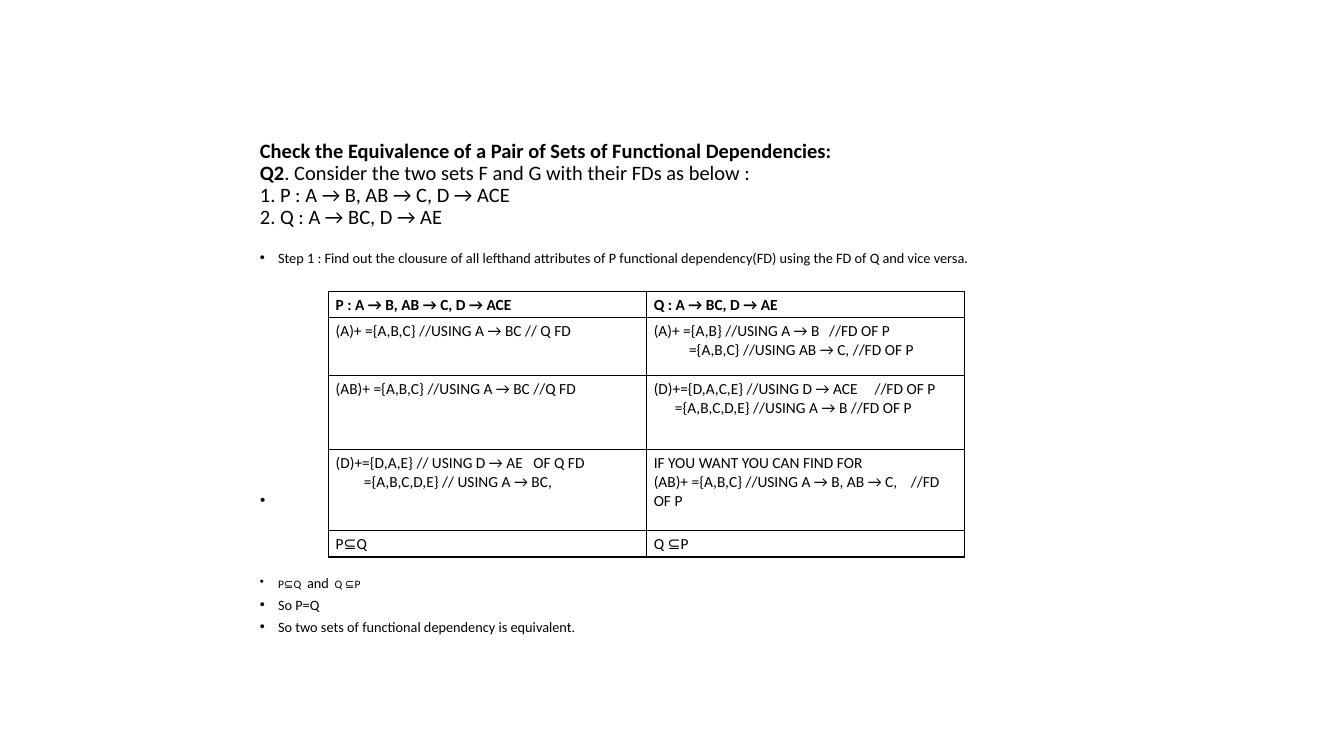
from dataclasses import dataclass

from lxml import etree
from pptx import Presentation
from pptx.dml.color import RGBColor
from pptx.enum.text import MSO_ANCHOR
from pptx.oxml.ns import qn
from pptx.util import Inches, Pt

TOP, MIDDLE = MSO_ANCHOR.TOP, MSO_ANCHOR.MIDDLE
COLORS = {"ink": "000000", "paper": "FFFFFF"}
FONT = "Calibri"
BODY_SIZE, SMALL_SIZE, TITLE_SIZE, TABLE_SIZE = 10.2, 8.2, 14.6, 11
TEXT_LEFT, TEXT_WIDTH = 2.48, 8.37
BULLET_INDENT = 0.18
BORDER_POINTS = 0.96


@dataclass(frozen=True)
class Run:
    text: str
    size: float = BODY_SIZE
    bold: bool = False


@dataclass(frozen=True)
class CellLine:
    text: str
    indent: float = 0
    tab: float = 0


@dataclass(frozen=True)
class TextBlock:
    top: float
    height: float
    paragraphs: list[list[Run]]
    bulleted: bool = True
    line_spacing: float = 0.7
    anchor: MSO_ANCHOR = TOP


TEXT_BLOCKS = [
    TextBlock(1.31, 1.05, [[
        Run("Check the Equivalence of a Pair of Sets of Functional Dependencies:\nQ2",
            TITLE_SIZE, True),
        Run(". Consider the two sets F and G with their FDs as below :\n"
            "1. P : A → B, AB → C, D → ACE\n2. Q : A → BC, D → AE", TITLE_SIZE),
    ]], bulleted=False, line_spacing=0.9, anchor=MIDDLE),
    TextBlock(2.47, 0.3, [[
        Run("Step 1 : Find out the clousure of all lefthand attributes of P functional "
            "dependency(FD) using the FD of Q and vice versa."),
    ]]),
    TextBlock(4.87, 0.25, [[Run("•", SMALL_SIZE)]], bulleted=False),
    TextBlock(5.69, 0.7, [
        [Run("P⊆Q ", SMALL_SIZE), Run(" and "), Run(" Q ⊆P", SMALL_SIZE)],
        [Run("So P=Q")],
        [Run("So two sets of functional dependency is equivalent.")],
    ]),
]

ROW_HEIGHTS = [0.26, 0.57, 0.74, 0.8, 0.26]
COLUMN_WIDTH = 3.155
CLOSURE_ROWS = [
    ([CellLine("P : A → B, AB → C, D → ACE")],
     [CellLine("Q : A → BC, D → AE")]),
    ([CellLine("(A)+ ={A,B,C} //USING A → BC // Q FD")],
     [CellLine("(A)+ ={A,B} //USING A → B\t//FD OF P", tab=1.74),
      CellLine("={A,B,C} //USING AB → C, //FD OF P", indent=0.35)]),
    ([CellLine("(AB)+ ={A,B,C} //USING A → BC //Q FD")],
     [CellLine("(D)+={D,A,C,E} //USING D → ACE\t//FD OF P", tab=2.19),
      CellLine("={A,B,C,D,E} //USING A → B //FD OF P", indent=0.21)]),
    ([CellLine("(D)+={D,A,E} // USING D → AE\tOF Q FD", tab=1.96),
      CellLine("={A,B,C,D,E} // USING A → BC,", indent=0.28)],
     [CellLine("IF YOU WANT YOU CAN FIND FOR"),
      CellLine("(AB)+ ={A,B,C} //USING A → B, AB → C,\t//FD\nOF P", tab=2.55)]),
    ([CellLine("P⊆Q")], [CellLine("Q ⊆P")]),
]


def color(name: str) -> RGBColor:
    return RGBColor.from_string(COLORS[name])


def add_text(paragraph, text: str, *, size: float, bold: bool = False) -> None:
    for index, line in enumerate(text.split("\n")):
        if index:
            paragraph.add_line_break()
        run = paragraph.add_run()
        run.text = line
        run.font.name = FONT
        run.font.size = Pt(size)
        run.font.bold = bold
        run.font.color.rgb = color("ink")


def next_paragraph(text_frame, index: int):
    return text_frame.add_paragraph() if index else text_frame.paragraphs[0]


def set_bullet(paragraph) -> None:
    properties = paragraph._p.get_or_add_pPr()
    properties.set("marL", str(Inches(BULLET_INDENT)))
    properties.set("indent", str(-Inches(BULLET_INDENT)))
    bullet_color = etree.SubElement(properties, qn("a:buClr"))
    etree.SubElement(bullet_color, qn("a:srgbClr"), val=COLORS["ink"])
    etree.SubElement(properties, qn("a:buFont"), typeface="Arial")
    etree.SubElement(properties, qn("a:buChar"), char="•")


def add_text_block(slide, block: TextBlock) -> None:
    shape = slide.shapes.add_textbox(Inches(TEXT_LEFT), Inches(block.top),
                                     Inches(TEXT_WIDTH), Inches(block.height))
    text_frame = shape.text_frame
    text_frame.word_wrap = True
    text_frame.vertical_anchor = block.anchor
    for index, runs in enumerate(block.paragraphs):
        paragraph = next_paragraph(text_frame, index)
        if block.bulleted:
            set_bullet(paragraph)
        paragraph.line_spacing = block.line_spacing
        if index:
            paragraph.space_before = Pt(7.3)
        for run in runs:
            add_text(paragraph, run.text, size=run.size, bold=run.bold)


def set_borders(cell) -> None:
    properties = cell._tc.get_or_add_tcPr()
    for side in ("lnL", "lnR", "lnT", "lnB"):
        border = etree.SubElement(properties, qn(f"a:{side}"), w=str(Pt(BORDER_POINTS)))
        fill = etree.SubElement(border, qn("a:solidFill"))
        etree.SubElement(fill, qn("a:srgbClr"), val=COLORS["ink"])


def fill_cell(cell, lines: list[CellLine], *, bold: bool) -> None:
    set_borders(cell)
    cell.fill.solid()
    cell.fill.fore_color.rgb = color("paper")
    cell.margin_left = cell.margin_right = Inches(0.07)
    cell.margin_top = cell.margin_bottom = Inches(0.04)
    for index, line in enumerate(lines):
        paragraph = next_paragraph(cell.text_frame, index)
        properties = paragraph._p.get_or_add_pPr()
        properties.set("marL", str(Inches(line.indent)))
        if line.tab:
            tabs = etree.SubElement(properties, qn("a:tabLst"))
            etree.SubElement(tabs, qn("a:tab"), pos=str(Inches(line.tab)), algn="l")
        add_text(paragraph, line.text, size=TABLE_SIZE, bold=bold)


def add_closure_table(slide) -> None:
    table = slide.shapes.add_table(len(CLOSURE_ROWS), 2, Inches(3.26), Inches(2.89),
                                   Inches(2 * COLUMN_WIDTH),
                                   Inches(sum(ROW_HEIGHTS))).table
    table.first_row = table.horz_banding = False
    for column in table.columns:
        column.width = Inches(COLUMN_WIDTH)
    for row_index, (height, cells) in enumerate(zip(ROW_HEIGHTS, CLOSURE_ROWS)):
        table.rows[row_index].height = Inches(height)
        for column_index, lines in enumerate(cells):
            fill_cell(table.cell(row_index, column_index), lines, bold=row_index == 0)


def main() -> None:
    presentation = Presentation()
    presentation.slide_width = Inches(13.33)
    presentation.slide_height = Inches(7.5)
    slide = presentation.slides.add_slide(presentation.slide_layouts[6])
    slide.background.fill.solid()
    slide.background.fill.fore_color.rgb = color("paper")

    # Question, step and conclusions
    for block in TEXT_BLOCKS:
        add_text_block(slide, block)

    # Closures of both sets
    add_closure_table(slide)

    presentation.save("out.pptx")


if __name__ == "__main__":
    main()
